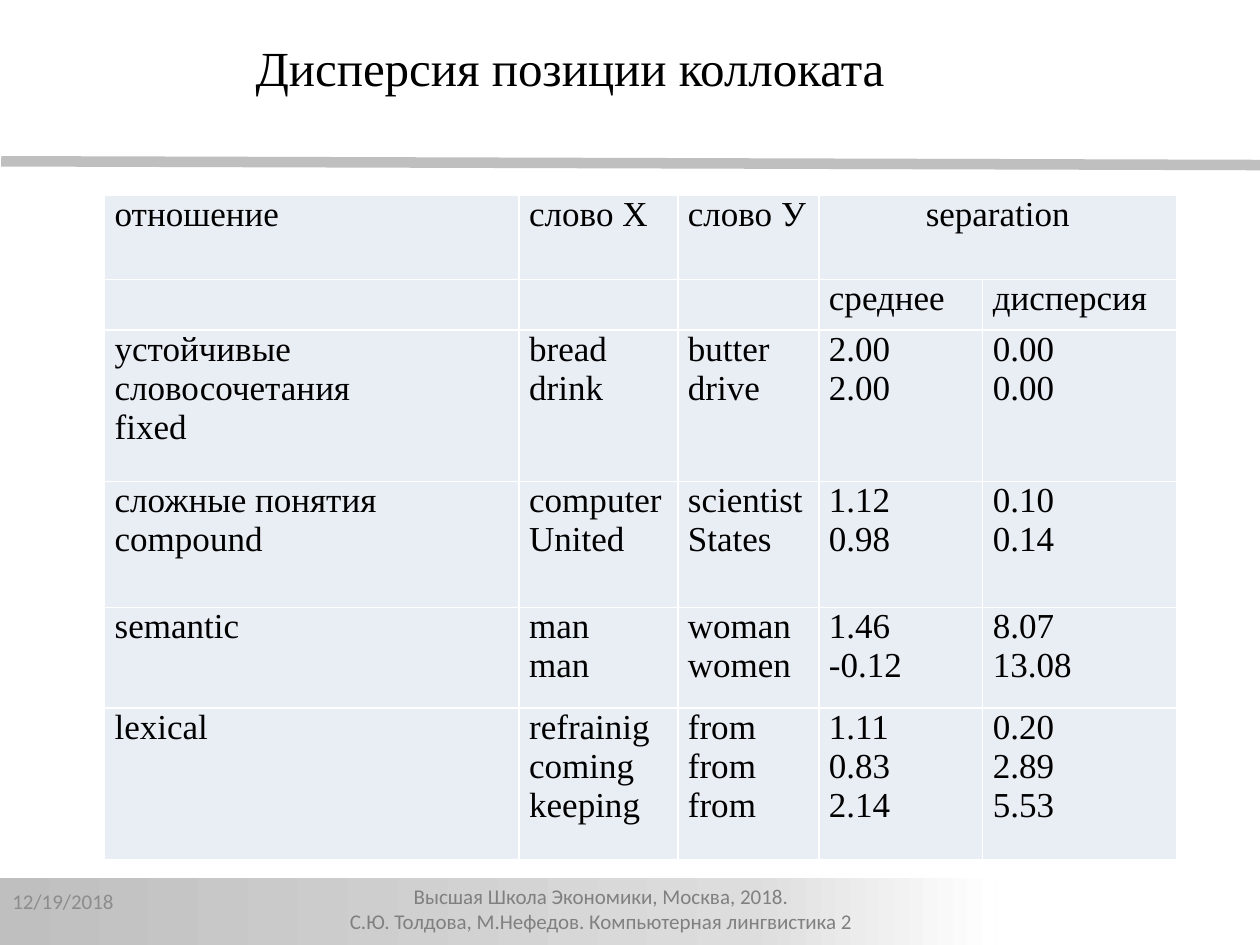
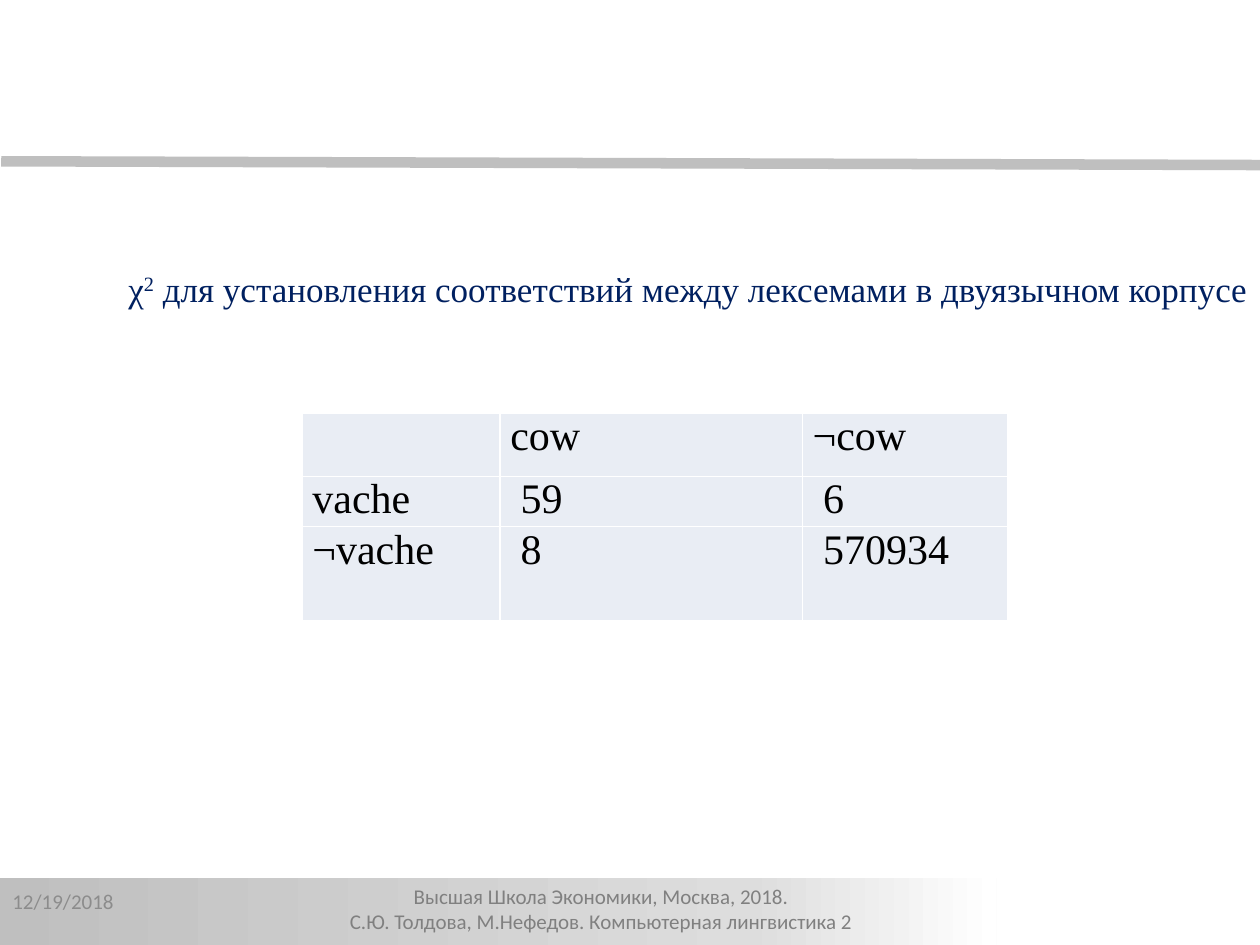
"""Two lecture slides on collocations: position variance and the chi-square test."""
from copy import deepcopy

from lxml.etree import SubElement
from pptx import Presentation
from pptx.dml.color import RGBColor
from pptx.enum.shapes import MSO_CONNECTOR as Connector, MSO_SHAPE as Shape
from pptx.enum.text import MSO_ANCHOR as Anchor, PP_ALIGN as Align
from pptx.oxml import parse_xml
from pptx.oxml.ns import nsdecls, qn
from pptx.util import Inches, Pt

BLACK = RGBColor(0x00, 0x00, 0x00)
NAVY = RGBColor(0x00, 0x20, 0x60)
SILVER = RGBColor(0xBF, 0xBF, 0xBF)
LIGHT = RGBColor(0xDD, 0xDD, 0xDD)
WHITE = RGBColor(0xFF, 0xFF, 0xFF)
FOOTER_GREY = RGBColor(0x80, 0x80, 0x80)
DATE_GREY = RGBColor(0x8C, 0x8C, 0x8C)
CELL_FILL = RGBColor(0xE9, 0xED, 0xF4)
SERIF = "Times New Roman"
SANS = "Calibri"

DATE = "12/19/2018"
FOOTER = ["Высшая Школа Экономики, Москва, 2018. ",
          "С.Ю. Толдова, М.Нефедов. Компьютерная лингвистика 2 "]
VARIANCE_TITLE = "Дисперсия позиции коллоката"
VARIANCE_ROWS = [
    ["отношение", "слово Х", "слово У", "separation", ""],
    ["", "", "", "среднее", "дисперсия"],
    ["устойчивые словосочетания\nfixed", "bread\ndrink", "butter\ndrive",
     "2.00\n2.00", "0.00\n0.00"],
    ["сложные понятия\ncompound", "computer\nUnited", "scientist\nStates",
     "1.12\n0.98", "0.10\n0.14"],
    ["semantic", "man\nman", "woman\nwomen", "1.46\n-0.12", "8.07\n13.08"],
    ["lexical", "refrainig\ncoming\nkeeping", "from\nfrom\nfrom",
     "1.11\n0.83\n2.14", "0.20\n2.89\n5.53"],
]
VARIANCE_WIDTHS = [3.29, 1.26, 1.12, 1.3, 1.54]
VARIANCE_HEIGHTS = [0.67, 0.4, 1.2, 1, 0.8, 1.2]

CHI_SYMBOL, CHI_POWER = "χ", "2"
CHI_TEXT = " для установления соответствий между лексемами в двуязычном корпусе"
CHI_ROWS = [["", "cow", "¬cow"], ["vache", " 59", " 6"], ["¬vache", " 8", " 570934"]]
CHI_WIDTHS = [1.57, 2.4, 1.63]
CHI_HEIGHTS = [0.5, 0.4, 0.75]


def add_run(paragraph, text, size, color, face=SERIF):
    run = paragraph.add_run()
    run.text = text
    run.font.size = Pt(size)
    run.font.name = face
    run.font.color.rgb = color
    return run


def write_lines(frame, lines, size, color, face=SERIF, align=Align.LEFT):
    for index, line in enumerate(lines):
        paragraph = frame.add_paragraph() if index else frame.paragraphs[0]
        paragraph.alignment = align
        if line:
            add_run(paragraph, line, size, color, face)


def add_box(slide, left, top, width, height, anchor=Anchor.TOP, wrap=True):
    frame = slide.shapes.add_textbox(*map(Inches, (left, top, width, height))).text_frame
    frame.word_wrap = wrap
    frame.vertical_anchor = anchor
    return frame


def add_frame(slide):
    rule = slide.shapes.add_connector(
        Connector.STRAIGHT, *map(Inches, (0.01, 1.28, 10.02, 1.31)))
    rule.line.color.rgb = SILVER
    rule.line.width = Pt(6)
    SubElement(rule.element.spPr, qn("a:effectLst"))

    band = slide.shapes.add_shape(
        Shape.RECTANGLE, *map(Inches, (-0.01, 6.97, 7.92, 0.57)))
    band.shadow.inherit = False
    band.line.fill.background()
    band.fill.gradient()
    band.fill.gradient_angle = 0
    stop_list = band.element.spPr.find(qn("a:gradFill")).find(qn("a:gsLst"))
    stop_list.insert(1, deepcopy(stop_list[0]))
    for stop, (position, color) in zip(
            band.fill.gradient_stops, [(0, SILVER), (0.75, LIGHT), (1, WHITE)]):
        stop.position = position
        stop.color.rgb = color

    write_lines(add_box(slide, 1.91, 6.96, 5.76, 0.45), FOOTER, 12, FOOTER_GREY,
                SANS, Align.CENTER)
    write_lines(add_box(slide, 0, 6.95, 2.33, 0.4, Anchor.MIDDLE), [DATE], 12,
                DATE_GREY, SANS)


def style_cell(cell):
    cell.fill.solid()
    cell.fill.fore_color.rgb = CELL_FILL
    cell.margin_left = cell.margin_right = Inches(0.08)
    cell.margin_top = cell.margin_bottom = 0
    properties = cell._tc.get_or_add_tcPr()
    for index, side in enumerate("LRTB"):
        properties.insert(index, parse_xml(
            f'<a:ln{side} {nsdecls("a")} w="{Pt(1)}"><a:solidFill>'
            f'<a:srgbClr val="{WHITE}"/></a:solidFill></a:ln{side}>'))


def add_grid(slide, left, top, rows, widths, heights, size):
    table = slide.shapes.add_table(
        len(rows), len(widths),
        *map(Inches, (left, top, sum(widths), sum(heights)))).table
    table.first_row = table.horz_banding = False
    for column, width in zip(table.columns, widths):
        column.width = Inches(width)
    for row, height, texts in zip(table.rows, heights, rows):
        row.height = Inches(height)
        for cell, text in zip(row.cells, texts):
            style_cell(cell)
            write_lines(cell.text_frame, text.split("\n"), size, BLACK)
    return table


def build_variance(slide):
    table = add_grid(slide, 0.83, 1.55, VARIANCE_ROWS, VARIANCE_WIDTHS,
                     VARIANCE_HEIGHTS, 20)
    separation = table.cell(0, 3)
    separation.merge(table.cell(0, 4))
    separation.text_frame.paragraphs[0].alignment = Align.CENTER
    write_lines(add_box(slide, 1.93, 0.25, 7.7, 0.57), [VARIANCE_TITLE], 28, BLACK)


def build_chi_square(slide):
    add_grid(slide, 2.4, 3.28, CHI_ROWS, CHI_WIDTHS, CHI_HEIGHTS, 24)
    statement = add_box(slide, 0.42, 2.07, 9.68, 0.77, wrap=False).paragraphs[0]
    statement._p.get_or_add_pPr().set("indent", str(Inches(0.5)))
    add_run(statement, CHI_SYMBOL, 20, NAVY)
    power = add_run(statement, CHI_POWER, 20, NAVY)
    power.font._element.set("baseline", "30000")
    add_run(statement, CHI_TEXT, 20, NAVY)


def main():
    deck = Presentation()
    deck.slide_width, deck.slide_height = Inches(10), Inches(7.5)
    for build in (build_variance, build_chi_square):
        slide = deck.slides.add_slide(deck.slide_layouts[6])
        add_frame(slide)
        build(slide)
    deck.save("out.pptx")


if __name__ == "__main__":
    main()
